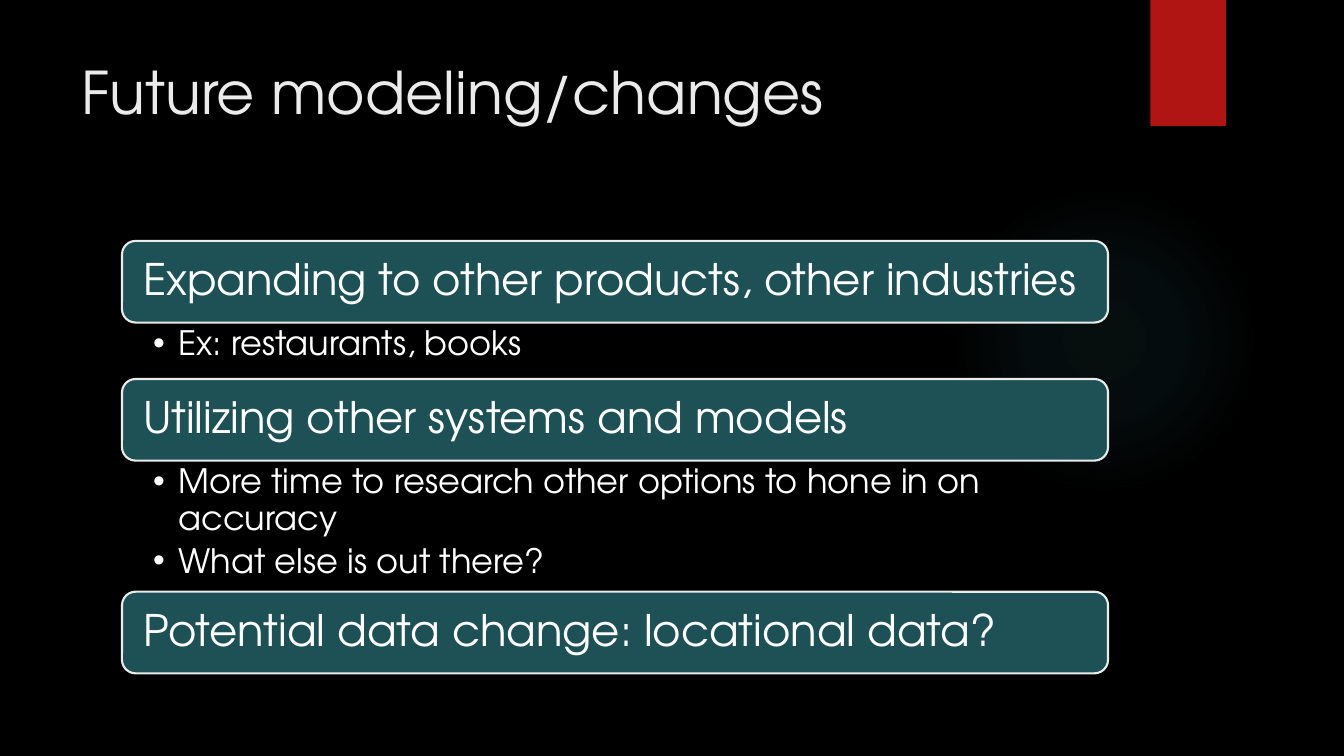
from lxml.etree import SubElement
from pptx import Presentation
from pptx.dml.color import RGBColor
from pptx.enum.shapes import MSO_SHAPE as Preset
from pptx.enum.text import MSO_ANCHOR as Anchor, MSO_AUTO_SIZE as AutoSize, PP_ALIGN as Align
from pptx.oxml.ns import qn
from pptx.util import Inches, Pt

FONT = "TeX Gyre Adventor"
COLORS = {
    "background": "000000", "glow": "50B9C1", "ribbon": "B01513",
    "title": "EBEBEB", "bar": "1E5155", "outline": "EBEBEB", "text": "FFFFFF",
}
LEFT, WIDTH, TOP = 1.21, 9.78, 2.39
BAR_HEIGHT = 0.81
TOPICS = [
    ("Expanding to other products, other industries", ["Ex: restaurants, books"], 0.56),
    ("Utilizing other systems and models",
     ["More time to research other options to hone in on accuracy",
      "What else is out there?"], 1.3),
    ("Potential data change: locational data?", [], 0),
]


def color(name):
    return RGBColor.from_string(COLORS[name])


def place(shape, left, top, width, height):
    shape.left, shape.top = Inches(left), Inches(top)
    shape.width, shape.height = Inches(width), Inches(height)


def set_frame(frame, insets, anchor):
    frame.word_wrap = True
    frame.auto_size = AutoSize.NONE
    frame.vertical_anchor = anchor
    (frame.margin_left, frame.margin_top,
     frame.margin_right, frame.margin_bottom) = map(Inches, insets)


def write(paragraph, words, size, color_name):
    paragraph.alignment = Align.LEFT
    run = paragraph.add_run()
    run.text = words
    run.font.name = FONT
    run.font.size = Pt(size)
    run.font.color.rgb = color(color_name)


def add_block(slide, preset, box, fill_name):
    block = slide.shapes.add_shape(preset, *map(Inches, box))
    block.shadow.inherit = False
    block.fill.solid()
    block.fill.fore_color.rgb = color(fill_name)
    block.line.fill.background()
    return block


def add_glow(slide, box):
    """Add a faint disc that fades out from its centre."""
    glow = add_block(slide, Preset.OVAL, box, "glow")
    glow.fill.gradient()
    gradient = glow.fill._xPr.find(qn("a:gradFill"))
    for child in list(gradient):
        gradient.remove(child)
    stops = SubElement(gradient, qn("a:gsLst"))
    for position, opacity in ((0, 7), (36, 6), (69, 0)):
        stop = SubElement(stops, qn("a:gs"), pos=str(position * 1000))
        tint = SubElement(stop, qn("a:srgbClr"), val=COLORS["glow"])
        SubElement(tint, qn("a:alpha"), val=str(opacity * 1000))
    radial = SubElement(gradient, qn("a:path"), path="circle")
    SubElement(radial, qn("a:fillToRect"), l="50000", t="50000", r="50000", b="50000")


def add_topic_bar(slide, top, heading):
    bar = add_block(slide, Preset.ROUNDED_RECTANGLE, (LEFT, top, WIDTH, BAR_HEIGHT), "bar")
    bar.line.color.rgb = color("outline")
    bar.line.width = Pt(1.5)
    set_frame(bar.text_frame, (0.17, 0.13, 0.13, 0.13), Anchor.MIDDLE)
    paragraph = bar.text_frame.paragraphs[0]
    paragraph.line_spacing = 0.9
    write(paragraph, heading, 31, "text")


def fill_list(body, top, height, points):
    place(body, LEFT, top, WIDTH, height)
    frame = body.text_frame
    set_frame(frame, (0.31, 0.04, 0.24, 0.04), Anchor.TOP)
    for index, point in enumerate(points):
        paragraph = frame.add_paragraph() if index else frame.paragraphs[0]
        paragraph.line_spacing = 0.9
        paragraph.space_before, paragraph.space_after = Pt(0), Pt(5)
        write(paragraph, point, 24, "text")
        properties = paragraph._p.get_or_add_pPr()
        properties.set("marL", str(Inches(0.25)))
        properties.set("indent", str(-Inches(0.25)))
        SubElement(properties, qn("a:buChar"), char="•")


def fill_title(title, words):
    place(title, 0.71, 0.5, 10.29, 1.53)
    set_frame(title.text_frame, (0.1, 0.05, 0.1, 0.05), Anchor.TOP)
    write(title.text_frame.paragraphs[0], words, 42, "title")


def main():
    deck = Presentation()
    deck.slide_width, deck.slide_height = Inches(13.33), Inches(7.5)
    two_lists = deck.slide_layouts.get_by_name("Two Content")
    slide = deck.slides.add_slide(two_lists)
    slide.background.fill.solid()
    slide.background.fill.fore_color.rgb = color("background")

    title, *bodies = slide.placeholders
    fill_title(title, "Future modeling/changes")
    add_glow(slide, (9.41, 1.83, 3.08, 3.08))
    add_block(slide, Preset.RECTANGLE, (11.41, 0, 0.75, 1.25), "ribbon")

    free_bodies = iter(bodies)
    top = TOP
    for heading, points, list_height in TOPICS:
        add_topic_bar(slide, top, heading)
        top += BAR_HEIGHT
        if points:
            fill_list(next(free_bodies), top, list_height, points)
            top += list_height

    deck.save("out.pptx")


if __name__ == "__main__":
    main()
